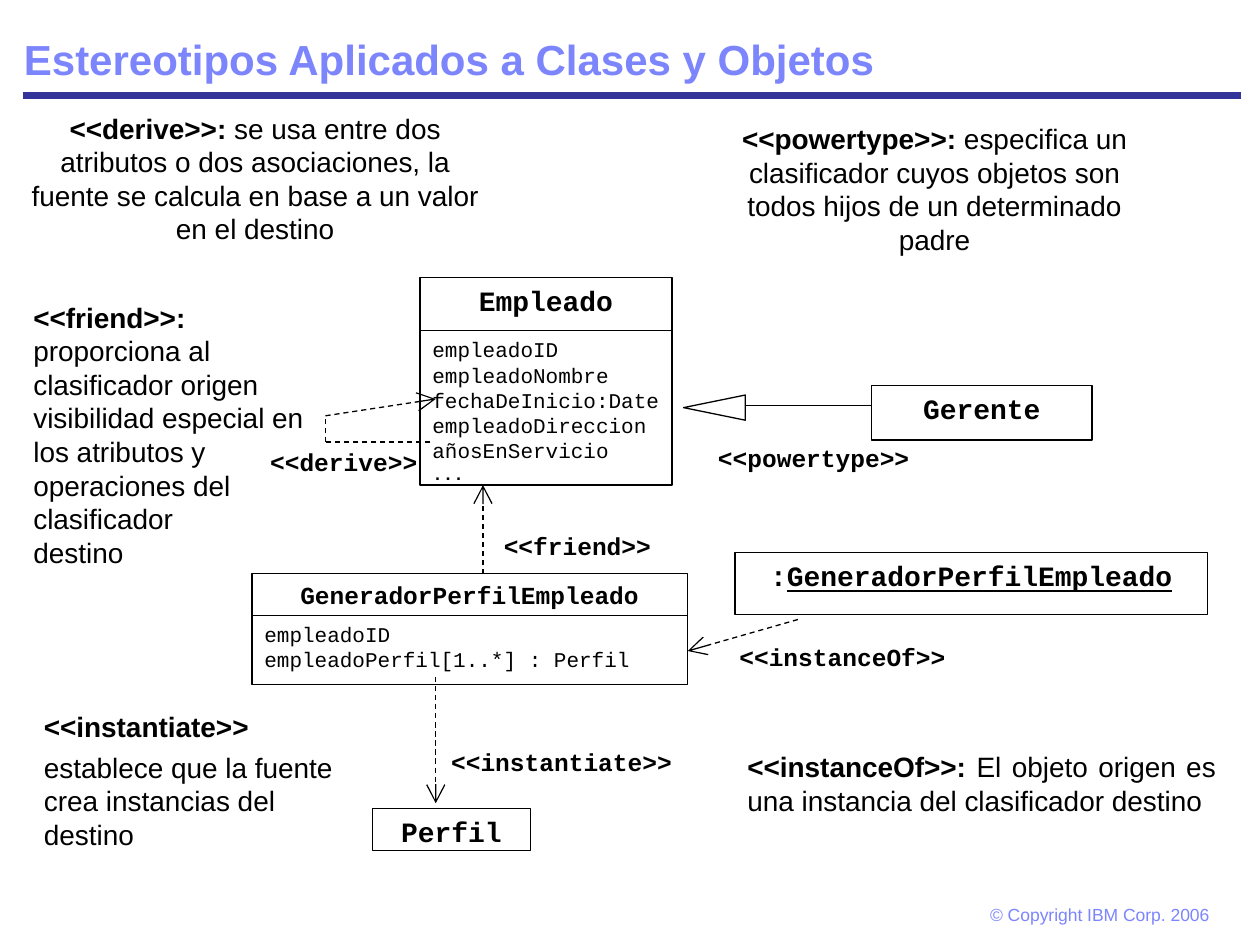
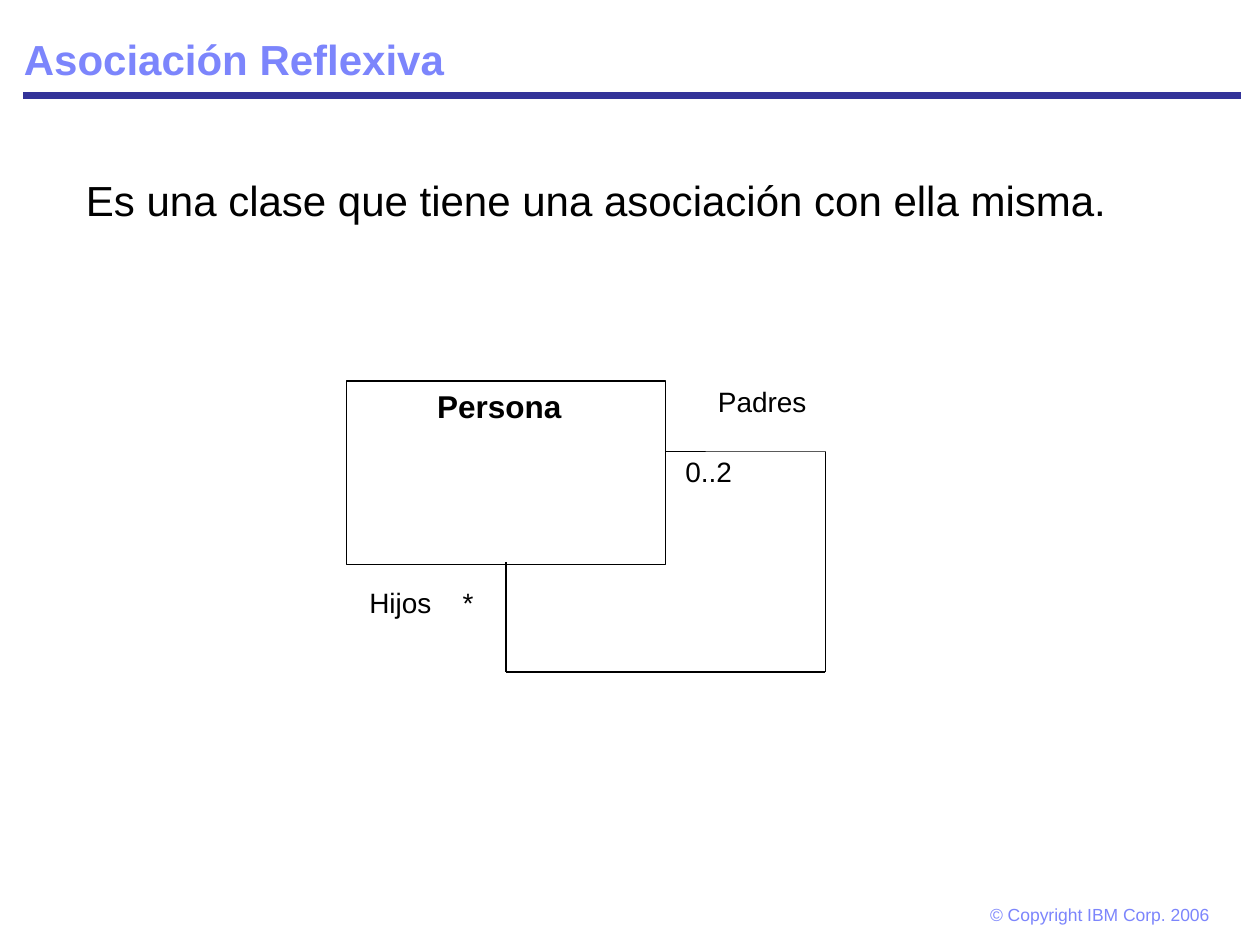
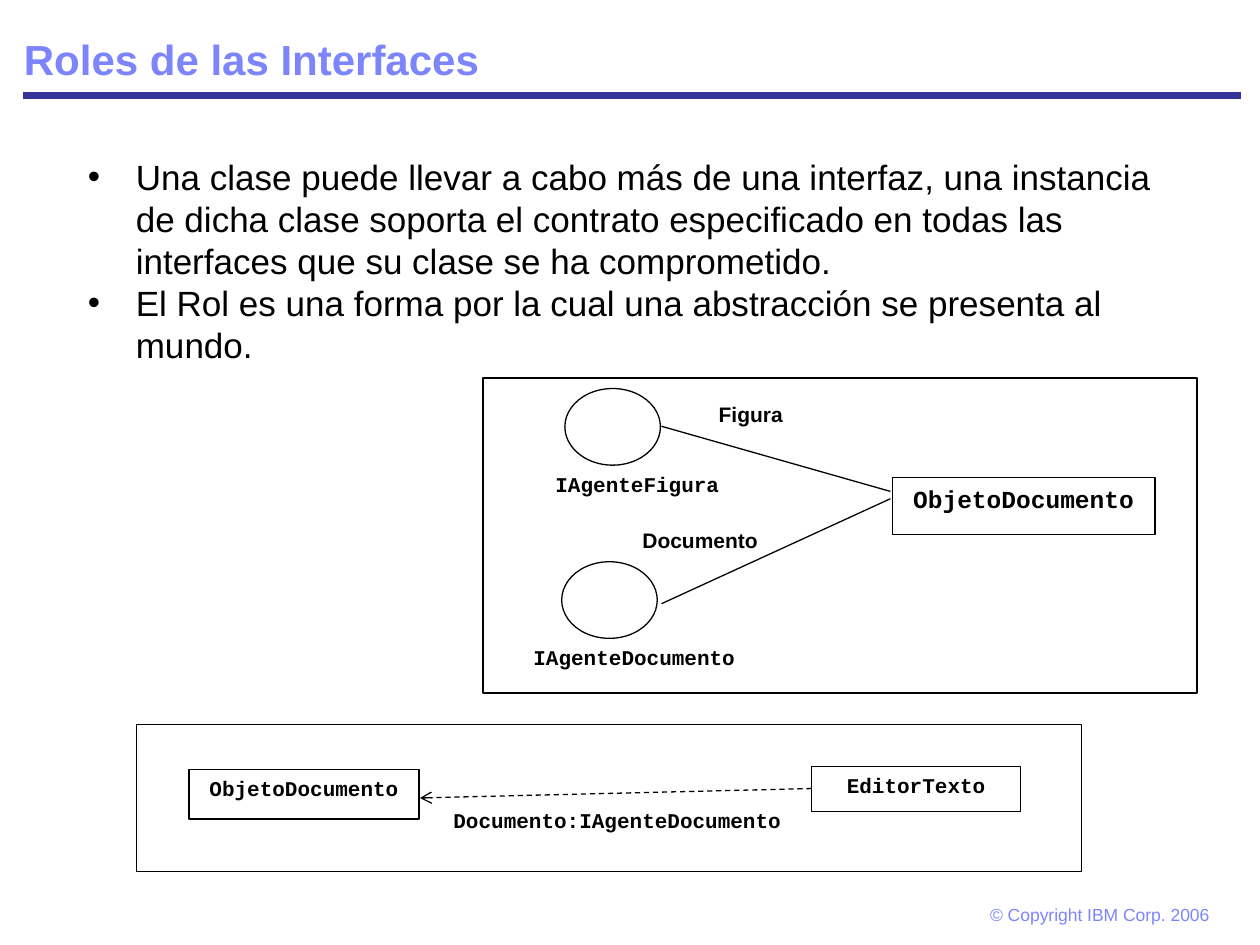
from typing import NamedTuple

from lxml import etree
from pptx import Presentation
from pptx.dml.color import RGBColor
from pptx.enum.dml import MSO_LINE
from pptx.enum.shapes import MSO_CONNECTOR, MSO_SHAPE
from pptx.enum.text import MSO_ANCHOR, PP_ALIGN
from pptx.oxml.ns import qn
from pptx.util import Emu, Inches, Pt

BLACK = RGBColor(0x00, 0x00, 0x00)
WHITE = RGBColor(0xFF, 0xFF, 0xFF)
NAVY = RGBColor(0x33, 0x33, 0x99)
LILAC = RGBColor(0x7C, 0x85, 0xFC)

SANS = "Arial"
MONO = "Courier New"

LEFT, CENTER, JUSTIFY = PP_ALIGN.LEFT, PP_ALIGN.CENTER, PP_ALIGN.JUSTIFY
TOP, BOTTOM = MSO_ANCHOR.TOP, MSO_ANCHOR.BOTTOM
RECTANGLE = MSO_SHAPE.RECTANGLE
ELLIPSE = MSO_SHAPE.OVAL
TRIANGLE = MSO_SHAPE.ISOSCELES_TRIANGLE
STRAIGHT = MSO_CONNECTOR.STRAIGHT
DASH = MSO_LINE.DASH

COLUMNS, ROWS = 120, 90


class Span(NamedTuple):
    text: str
    bold: bool = False
    underline: bool = False
    size: float = 0


def add_bullet(para, indent):
    properties = para._p.get_or_add_pPr()
    properties.set("marL", str(indent))
    properties.set("indent", str(-indent))
    etree.SubElement(properties, qn("a:buFont"), typeface=SANS)
    etree.SubElement(properties, qn("a:buChar"), char="•")


def add_tab(para, position):
    stops = etree.SubElement(para._p.get_or_add_pPr(), qn("a:tabLst"))
    etree.SubElement(stops, qn("a:tab"), pos=str(position), algn="l")


class Board:
    """Style and current slide; places are (left, top, width, height) in grid units."""

    def __init__(self):
        self.deck = Presentation()
        self.deck.slide_width, self.deck.slide_height = Inches(10), Inches(7.5)
        self.column = self.deck.slide_width / COLUMNS
        self.row = self.deck.slide_height / ROWS
        self.page = None

    def scale(self, *lengths):
        """Turn alternating columns and rows into slide lengths."""
        units = (self.column, self.row) * 2
        return [Emu(round(length * unit)) for length, unit in zip(lengths, units)]

    def new_page(self, title):
        self.page = self.deck.slides.add_slide(self.deck.slide_layouts[6])
        self.route([(2.2, 9.1), (118.2, 9.1)], color=NAVY, weight=4.5)
        self.text((92.5, 85.3, 25.2, 3.8), ["© Copyright IBM Corp. 2006"],
                  size=10, color=LILAC, inset=(0.15, 0.07))
        heading = self.text((1.1, 1.1, 117.6, 7.5), [[Span(title, bold=True)]],
                            size=24, color=LILAC, anchor=BOTTOM)
        heading.text_frame.paragraphs[0].line_spacing = 0.9

    def fill_text(self, box, paragraphs, size=16, font=SANS, color=BLACK, align=LEFT,
                  anchor=TOP, gap=0, inset=(0.1, 0.05), right=None):
        """Fill a box; each paragraph is a string or a list of spans."""
        frame = box.text_frame
        frame.word_wrap = True
        frame.vertical_anchor = anchor
        frame.margin_left = Inches(inset[0])
        frame.margin_right = Inches(inset[0] if right is None else right)
        frame.margin_top = frame.margin_bottom = Inches(inset[1])
        for index, spans in enumerate(paragraphs):
            para = frame.add_paragraph() if index else frame.paragraphs[0]
            para.alignment = align
            if index and gap:
                para.space_before = Pt(gap)
            for span in [Span(spans)] if isinstance(spans, str) else spans:
                run = para.add_run()
                run.text = span.text
                run.font.name = font
                run.font.size = Pt(span.size or size)
                run.font.bold = span.bold
                run.font.underline = span.underline
                run.font.color.rgb = color

    def text(self, place, paragraphs, **style):
        box = self.page.shapes.add_textbox(*self.scale(*place))
        self.fill_text(box, paragraphs, **style)
        return box

    def shape(self, place, kind=RECTANGLE, fill=None, outlined=True):
        shape = self.page.shapes.add_shape(kind, *self.scale(*place))
        shape.shadow.inherit = False
        if fill is None:
            shape.fill.background()
        else:
            shape.fill.solid()
            shape.fill.fore_color.rgb = fill
        if outlined:
            shape.line.color.rgb = BLACK
            shape.line.width = Pt(0.75)
        else:
            shape.line.fill.background()
        return shape

    def name_box(self, place, spans, size=16):
        """Outlined box with a bold monospaced name."""
        if isinstance(spans, str):
            spans = [Span(spans, bold=True)]
        self.fill_text(self.shape(place), [spans], size=size, font=MONO, align=CENTER)

    def class_box(self, left, top, width, heights, name, size, attributes, right=None):
        head, body = heights
        self.name_box((left, top, width, head), name, size)
        self.fill_text(self.shape((left, top + head, width, body)), attributes,
                       size=12, font=MONO, align=JUSTIFY, right=right)

    def label(self, place, name, size=14, font=MONO, align=CENTER):
        self.text(place, [[Span(name, bold=True)]], size=size, font=font, align=align)

    def patch(self, place, text):
        """White borderless box with plain text."""
        box = self.shape(place, fill=WHITE, outlined=False)
        self.fill_text(box, [text])
        return box

    def route(self, points, dashed=False, arrow=None, color=BLACK, weight=0.75):
        """Chain of straight lines; arrow is the size of the head at its end."""
        for start, end in zip(points, points[1:]):
            line = self.page.shapes.add_connector(STRAIGHT, *self.scale(*start, *end))
            line.line.color.rgb = color
            line.line.width = Pt(weight)
            if dashed:
                line.line.dash_style = DASH
            etree.SubElement(line._element.spPr, qn("a:effectLst"))
        if arrow:
            outline = line._element.spPr.find(qn("a:ln"))
            etree.SubElement(outline, qn("a:tailEnd"), type="arrow", w=arrow, len=arrow)

    def interface(self, left, top, name):
        self.shape((left, top, 9.1, 7.3), ELLIPSE)
        self.label((left - 4.5, top + 7.3, 22.8, 4.3), name, size=12)


def stereotypes_page(board):
    board.new_page("Estereotipos Aplicados a Clases y Objetos")

    board.class_box(24, 54.6, 41.5, (4, 6.6), "GeneradorPerfilEmpleado", 14,
                    ["empleadoID", "empleadoPerfil[1..*] : Perfil"])
    board.class_box(40, 26.4, 24, (5.1, 14.7), "Empleado", 16,
                    ["empleadoID", "empleadoNombre", "fechaDeInicio:Date",
                     "empleadoDireccion", "añosEnServicio",
                     [Span("...", bold=True, size=10)]], right=0)
    board.name_box((70, 52.6, 45, 5.9),
                   [Span(":", bold=True),
                    Span("GeneradorPerfilEmpleado", bold=True, underline=True)])
    board.name_box((35.5, 77, 15, 4), "Perfil")
    board.name_box((83, 36.7, 21, 5.2), "Gerente")

    for points in (
        [(41, 42.1), (31, 42.1), (31, 39.6), (41.5, 38)],
        [(46, 54.7), (46, 46.2)],
        [(76, 59), (65.5, 62)],
        [(41.5, 64.5), (41.5, 76.5)],
    ):
        board.route(points, dashed=True, arrow="lg")
    inheritance_head = board.shape((66.84, 35.88, 2.4, 5.88), TRIANGLE, fill=WHITE)
    inheritance_head.rotation = 270
    board.route([(71, 38.6), (83, 38.6)])

    for left, top, width, name in (
        (24, 42, 17.5, "derive"),
        (41, 70.6, 25, "instantiate"),
        (68.5, 60.6, 23.5, "instanceOf"),
        (46, 50, 18, "friend"),
        (67, 41.6, 21, "powertype"),
    ):
        board.label((left, top, width, 3.4), f"<<{name}>>")

    for place, align, term, meaning in (
        ((1.5, 10, 45.6, 14), CENTER, "<<derive>>:",
         " se usa entre dos atributos o dos asociaciones, la fuente se calcula "
         "en base a un valor en el destino"),
        ((67, 11, 44, 14), CENTER, "<<powertype>>:",
         " especifica un clasificador cuyos objetos son todos hijos de un "
         "determinado padre"),
        ((70, 70.8, 47, 7.7), JUSTIFY, "<<instanceOf>>:",
         " El objeto origen es una instancia del clasificador destino"),
    ):
        board.text(place, [[Span(term, bold=True), Span(meaning)]], align=align)
    board.text((2, 28, 30, 26.9),
               [[Span("<<friend>>:", bold=True),
                 Span(" proporciona al clasificador origen visibilidad especial "
                      "en los atributos y operaciones del clasificador")],
                "destino"])
    board.text((3, 67, 30, 14.6),
               [[Span("<<instantiate>>", bold=True)],
                "establece que la fuente crea instancias del destino"], gap=4)


def reflexive_page(board):
    board.new_page("Asociación Reflexiva")
    children = board.patch((34, 55.2, 25.7, 7), "Hijos\t*")
    add_tab(children.text_frame.paragraphs[0], Inches(0.74))
    board.patch((64.1, 42.7, 15.2, 7), "0..2")

    person = board.shape((33, 36.3, 30.4, 17.5), fill=WHITE)
    board.fill_text(person, [[Span("Persona", bold=True)]], size=18, inset=(0.72, 0.05))
    board.route([(63.4, 43), (78.6, 43), (78.6, 64), (48.2, 64), (48.2, 53.5)])
    board.patch((67.2, 36, 22.8, 7), "Padres")

    board.text((7, 16, 106, 9),
               ["Es una clase que tiene una asociación con ella misma."],
               size=24, align=JUSTIFY)


def interface_roles_page(board):
    board.new_page("Roles de las Interfaces")
    points = board.text(
        (7.2, 14.2, 105.6, 64.6),
        ["Una clase puede llevar a cabo más de una interfaz, una instancia de dicha "
         "clase soporta el contrato especificado en todas las interfaces que su "
         "clase se ha comprometido.",
         "El Rol es una forma por la cual una abstracción se presenta al mundo."],
        size=20)
    for para in points.text_frame.paragraphs:
        add_bullet(para, Inches(0.38))

    board.shape((46, 36, 68, 30))
    board.interface(53.8, 37, "IAgenteFigura")
    board.interface(53.5, 53.5, "IAgenteDocumento")
    board.name_box((85, 45.5, 25, 5.4), "ObjetoDocumento", 14)
    board.route([(84.8, 46.8), (63, 40.6)])
    board.route([(84.8, 47.5), (63, 57.5)])
    board.label((67, 37.6, 9, 3), "Figura", 12, SANS)
    board.label((60, 49.6, 13.6, 3), "Documento", 12, SANS, LEFT)

    board.shape((13, 69, 90, 14))
    board.name_box((77.3, 73, 19.9, 4.3), "EditorTexto", 12)
    board.name_box((18, 73.3, 21.9, 4.7), "ObjetoDocumento", 12)
    board.route([(77.3, 75.1), (40, 76)], dashed=True, arrow="med")
    board.label((42, 76.3, 34, 4.7), "Documento:IAgenteDocumento", 12, align=LEFT)


def main():
    board = Board()
    stereotypes_page(board)
    reflexive_page(board)
    interface_roles_page(board)
    board.deck.save("out.pptx")


if __name__ == "__main__":
    main()
